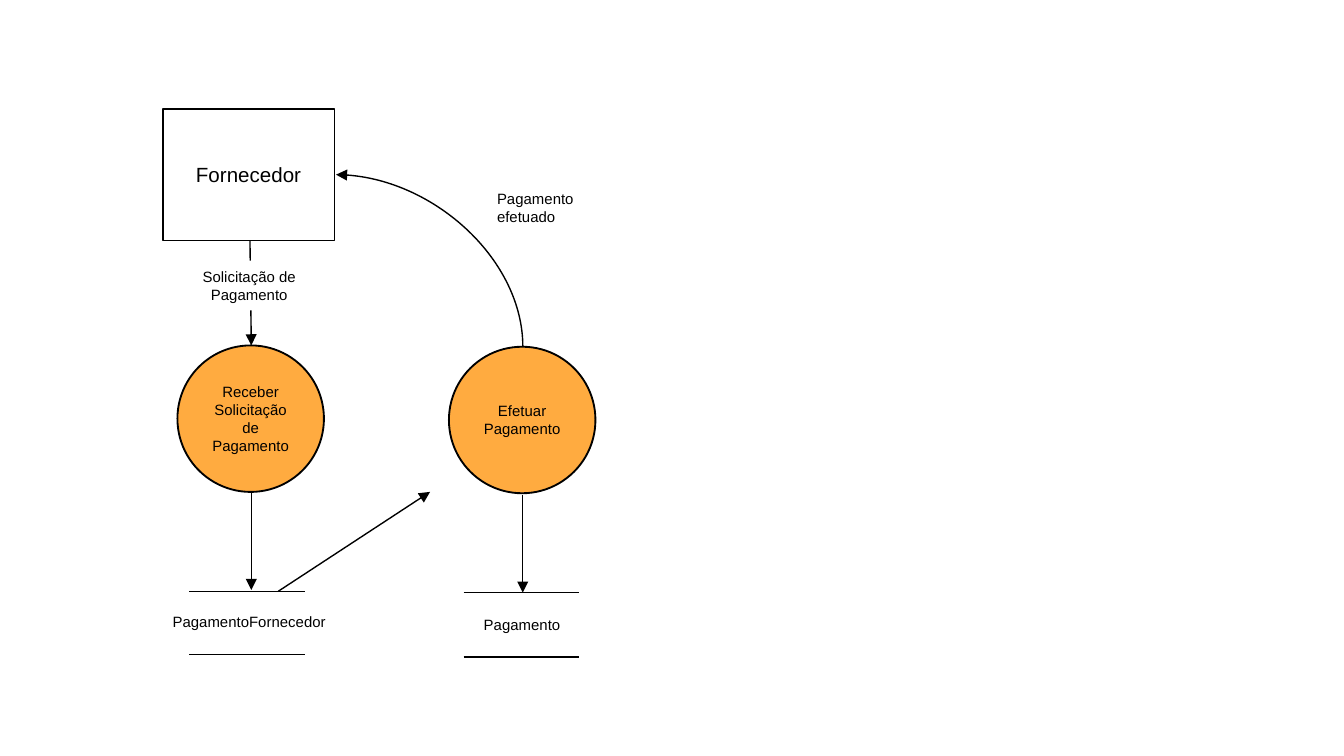
import pptx
import pptx.util
import pptx.dml.color
import pptx.enum.shapes
import pptx.enum.text
import lxml.etree

HUES = {"ink": "000000", "paper": "FFFFFF", "node": "FFAB40"}
FONT = "Arial"
KIND = pptx.enum.shapes.MSO_SHAPE
LINK = pptx.enum.shapes.MSO_CONNECTOR
ALIGN = pptx.enum.text.PP_ALIGN
MID = pptx.enum.text.MSO_ANCHOR.MIDDLE
TOP = pptx.enum.text.MSO_ANCHOR.TOP
INCH = pptx.util.Inches
WIDE = 10

# Text, left, top, width, height
ENTITY = ("Fornecedor", 1.21, 0.81, 1.28, 0.98)
NODES = [("Receber Solicitação de Pagamento", 1.32, 2.57),
         ("Efetuar Pagamento", 3.34, 2.58)]
SIZE = 1.09
# Text, text left, text top, rule left, rule top, rule gap
STORES = [("PagamentoFornecedor", 1.17, 4.51, 1.41, 4.4, 0.47),
          ("Pagamento", 3.2, 4.53, 3.45, 4.41, 0.48)]
RULE = 0.86
FLOWS = [(1.86, 1.79, 1.87, 2.57), (1.87, 3.66, 1.87, 4.39),
         (3.89, 3.68, 3.89, 4.41), (2.07, 4.4, 3.2, 3.66)]
REQUEST = ("Solicitação de Pagamento", 1.36, 1.94, 0.99, 0.37)
REPLY = ("Pagamento efetuado", 3.6, 1.36, 0.93, 0.37)
START, END = (3.89, 2.58), (2.5, 1.3)


def color(name):
    """Return the named hue."""
    return pptx.dml.color.RGBColor.from_string(HUES[name])


def write(shape, text, size=8, align=ALIGN.CENTER, anchor=TOP, side=0.1):
    """Put one paragraph of text in a shape."""
    frame = shape.text_frame
    frame.word_wrap = True
    frame.vertical_anchor = anchor
    frame.margin_left = frame.margin_right = INCH(side)
    frame.margin_top = frame.margin_bottom = INCH(0.05)
    par = frame.paragraphs[0]
    par.text = text
    par.alignment = align
    par.font.name = FONT
    par.font.size = pptx.util.Pt(size)
    par.font.color.rgb = color("ink")


def block(kind, box, fill=None, line=True):
    """Add a flat shape with an optional fill and outline."""
    shape = slide.shapes.add_shape(kind, *map(INCH, box))
    shape.shadow.inherit = False
    if fill:
        shape.fill.solid()
        shape.fill.fore_color.rgb = color(fill)
    else:
        shape.fill.background()
    if line:
        shape.line.color.rgb = color("ink")
        shape.line.width = pptx.util.Pt(1)
    else:
        shape.line.fill.background()
    return shape


def label(text, *box, **style):
    """Add a text box."""
    write(slide.shapes.add_textbox(*map(INCH, box)), text, **style)


def link(ends, arrow=True, kind=LINK.STRAIGHT):
    """Add a line, with an arrowhead at its end if asked."""
    wire = slide.shapes.add_connector(kind, *map(INCH, ends))
    wire.line.color.rgb = color("ink")
    wire.line.width = pptx.util.Pt(0.75)
    qn = pptx.oxml.ns.qn
    props = wire._element.spPr
    if arrow:
        lxml.etree.SubElement(props.find(qn("a:ln")), qn("a:tailEnd"),
                              type="triangle")
    lxml.etree.SubElement(props, qn("a:effectLst"))
    return wire


def curve(start, end):
    """Add a quarter bend that leaves upward and arrives leftward."""
    wide, high = start[0] - end[0], start[1] - end[1]
    midx, midy = (start[0] + end[0]) / 2, (start[1] + end[1]) / 2
    ends = (midx - high / 2, midy + wide / 2, midx + high / 2, midy - wide / 2)
    props = link(ends, kind=LINK.CURVE)._element.spPr
    props.find(pptx.oxml.ns.qn("a:prstGeom")).set("prst", "curvedConnector2")
    props.find(pptx.oxml.ns.qn("a:xfrm")).set("rot", str(270 * 60000))


deck = pptx.Presentation()
deck.slide_width, deck.slide_height = INCH(WIDE), INCH(WIDE * 9 / 16)
slide = deck.slides.add_slide(deck.slide_layouts[6])

write(block(KIND.RECTANGLE, ENTITY[1:]), ENTITY[0], size=11, anchor=MID)
for text, left, top in NODES:
    node = block(KIND.FLOWCHART_CONNECTOR, (left, top, SIZE, SIZE), "node")
    write(node, text, anchor=MID, side=0.08)
curve(START, END)
for flow in FLOWS:
    link(flow)
for text, left, top, x, y, gap in STORES:
    for rule in (y, y + gap):
        link((x, rule, x + RULE, rule), arrow=False)
    label(text, left, top, 1.37, 0.24)
write(block(KIND.RECTANGLE, REQUEST[1:], "paper", line=False), REQUEST[0])
label(*REPLY, align=ALIGN.LEFT)

deck.save("out.pptx")
